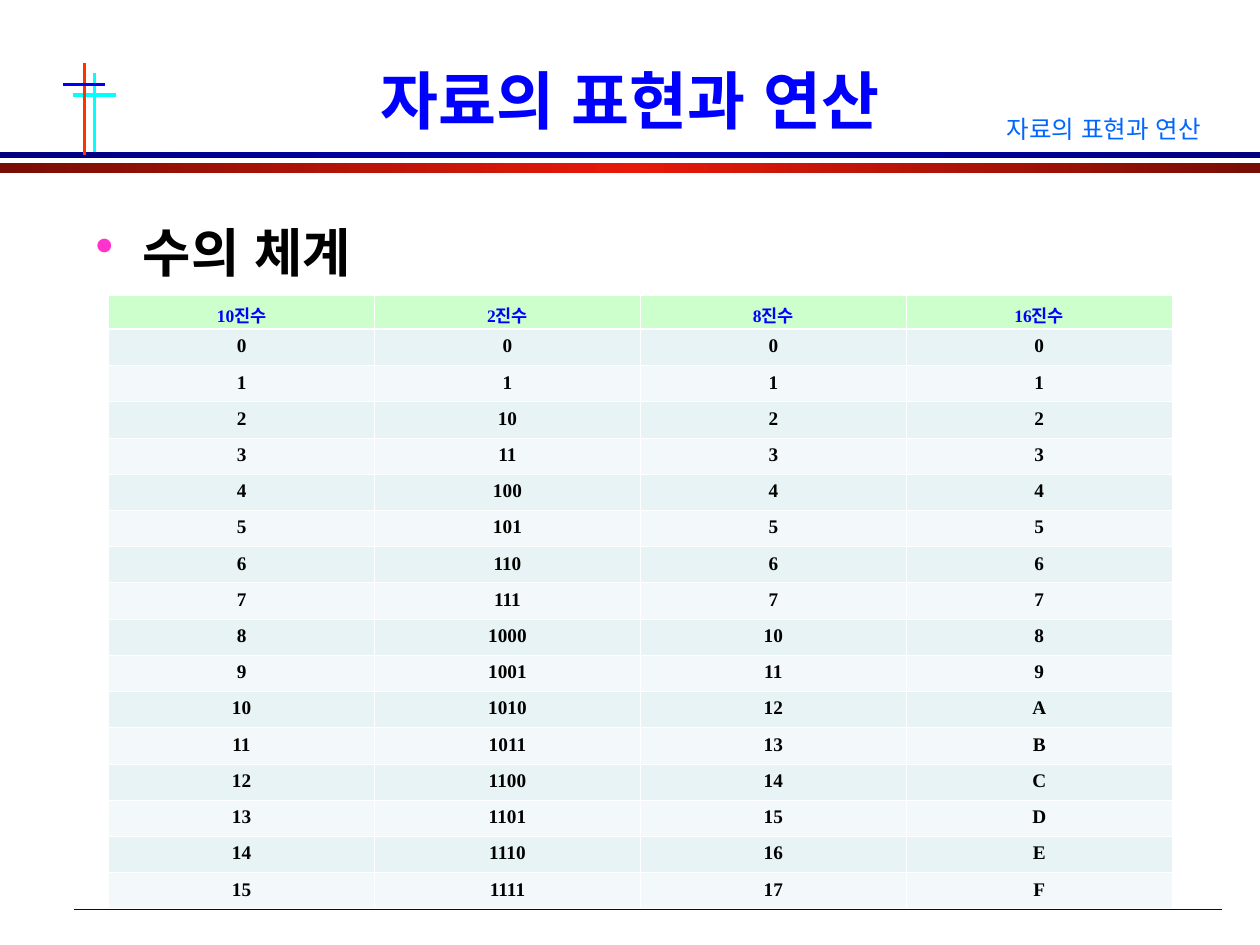
"""Build a slide that compares decimal, binary, octal and hexadecimal numbers."""
from copy import deepcopy

from lxml import etree
from pptx import Presentation
from pptx import util as u
from pptx.dml.color import RGBColor
from pptx.enum import shapes, text
from pptx.oxml import ns

BLUE = RGBColor(0x00, 0x00, 0xFF)
SKY = RGBColor(0x00, 0x66, 0xFF)
CYAN = RGBColor(0x00, 0xFF, 0xFF)
NAVY = RGBColor(0x00, 0x00, 0x80)
BAND_NAVY = RGBColor(0x00, 0x00, 0x7F)
BAND_BLUE = RGBColor(0x00, 0x00, 0xB6)
DARK_RED = RGBColor(0x77, 0x0D, 0x05)
RED = RGBColor(0xE7, 0x19, 0x09)
ORANGE = RGBColor(0xFF, 0x33, 0x00)
PINK = RGBColor(0xFF, 0x33, 0xCC)
BLACK = RGBColor(0x00, 0x00, 0x00)
WHITE = RGBColor(0xFF, 0xFF, 0xFF)
HEADER_GREEN = RGBColor(0xCC, 0xFF, 0xCC)
ROW_FILLS = (RGBColor(0xE7, 0xF3, 0xF4), RGBColor(0xF3, 0xF9, 0xFA))

SERIF, KOREAN = "Times New Roman", "Noto Sans CJK KR"
TITLE = "자료의 표현과 연산"
HEADING = "수의 체계"
HEADERS = ["10진수", "2진수", "8진수", "16진수"]
ROWS = [[f"{number:{base}}" for base in "dboX"] for number in range(16)]

FOOTER_LINE = (1.5, 18.34, 24.64, 18.34, NAVY, 0.75)
CYAN_CROSS = [
    (1.47, 1.91, 2.34, 1.91, CYAN, 2),
    (1.91, 1.47, 1.91, 3.18, CYAN, 1.75),
]
FRONT_CROSS = [
    (1.7, 1.27, 1.7, 3.12, ORANGE, 1.75),
    (1.27, 1.7, 2.11, 1.7, BLUE, 2),
]
BANDS = [
    (3.07, 0.12, BAND_NAVY, BAND_BLUE),
    (3.28, 0.21, DARK_RED, RED),
]
TABLE_LEFT, TABLE_TOP, COLUMN_WIDTH = 2.19, 5.96, 5.36
HEADER_HEIGHT, ROW_HEIGHT = 0.67, 0.73
THIN, THICK = 0.45, 1.47


def apply(target, values):
    for name, value in values.items():
        setattr(target, name, value)


def add_line(slide, x1, y1, x2, y2, color, width):
    line = slide.shapes.add_connector(
        shapes.MSO_CONNECTOR.STRAIGHT, *map(u.Cm, (x1, y1, x2, y2)))
    line.line.color.rgb = color
    line.line.width = u.Pt(width)
    etree.SubElement(line.element.spPr, ns.qn("a:effectLst"))


def add_band(slide, top, height, edge, middle):
    band = slide.shapes.add_shape(
        shapes.MSO_SHAPE.RECTANGLE, 0, u.Cm(top), u.Cm(25.4), u.Cm(height))
    band.shadow.inherit = False
    band.line.fill.background()
    band.fill.gradient()
    band.fill.gradient_angle = 0
    stops = band.element.spPr.find(".//" + ns.qn("a:gsLst"))
    stops.insert(1, deepcopy(stops[0]))
    for stop, color, position in zip(
            band.fill.gradient_stops, (edge, middle, edge), (0, 0.5, 1)):
        stop.color.rgb = color
        stop.position = position


def write(paragraph, content, size, color, latin=SERIF, bold=True):
    run = paragraph.add_run()
    run.text = content
    apply(run.font, {"size": u.Pt(size), "bold": bold, "name": latin})
    run.font.color.rgb = color
    properties = run.font._element
    properties.set("lang", "ko-KR")
    east_asian = etree.SubElement(properties, ns.qn("a:ea"))
    east_asian.set("typeface", KOREAN)


def add_text(slide, box, content, size, color, frame_format=None, **style):
    frame = slide.shapes.add_textbox(*map(u.Cm, box)).text_frame
    apply(frame, {"word_wrap": True, **(frame_format or {})})
    paragraph = frame.paragraphs[0]
    write(paragraph, content, size, color, **style)
    return paragraph


def add_bullet(paragraph, color):
    properties = paragraph._p.get_or_add_pPr()
    properties.set("marL", str(u.Cm(0.95)))
    properties.set("indent", str(-u.Cm(0.95)))
    bullet_color = etree.SubElement(properties, ns.qn("a:buClr"))
    etree.SubElement(bullet_color, ns.qn("a:srgbClr")).set("val", str(color))
    etree.SubElement(properties, ns.qn("a:buChar")).set("char", "•")


def set_borders(cell, top, bottom):
    properties = cell._tc.get_or_add_tcPr()
    widths = {"lnL": THIN, "lnR": THIN, "lnT": top, "lnB": bottom}
    for index, (side, width) in enumerate(widths.items()):
        border = etree.Element(ns.qn("a:" + side), w=str(u.Pt(width)))
        fill = etree.SubElement(border, ns.qn("a:solidFill"))
        etree.SubElement(fill, ns.qn("a:srgbClr")).set("val", str(WHITE))
        properties.insert(index, border)


def add_number_table(slide):
    contents = [HEADERS] + ROWS
    table = slide.shapes.add_table(
        len(contents), len(HEADERS), u.Cm(TABLE_LEFT), u.Cm(TABLE_TOP),
        u.Cm(COLUMN_WIDTH * len(HEADERS)),
        u.Cm(HEADER_HEIGHT + ROW_HEIGHT * len(ROWS))).table
    for column in table.columns:
        column.width = u.Cm(COLUMN_WIDTH)
    for index, values in enumerate(contents):
        header = index == 0
        table.rows[index].height = u.Cm(HEADER_HEIGHT if header else ROW_HEIGHT)
        for cell, value in zip(table.rows[index].cells, values):
            cell.fill.solid()
            cell.fill.fore_color.rgb = HEADER_GREEN if header else ROW_FILLS[(index - 1) % 2]
            set_borders(cell, THICK if index == 1 else THIN, THICK if header else THIN)
            paragraph = cell.text_frame.paragraphs[0]
            paragraph.alignment = text.PP_ALIGN.CENTER
            write(paragraph, value, 10 if header else 11, BLUE if header else BLACK)


def main():
    presentation = Presentation()
    apply(presentation, {"slide_width": u.Cm(25.4), "slide_height": u.Cm(19.05)})
    slide = presentation.slides.add_slide(presentation.slide_layouts[6])
    for line in [FOOTER_LINE] + CYAN_CROSS:
        add_line(slide, *line)
    for band in BANDS:
        add_band(slide, *band)
    for line in FRONT_CROSS:
        add_line(slide, *line)

    title = add_text(slide, (3.91, 1.27, 17.58, 1.47), TITLE, 36, BLUE,
                     {"vertical_anchor": text.MSO_ANCHOR.MIDDLE})
    title.alignment = text.PP_ALIGN.CENTER
    heading = add_text(slide, (1.68, 4.45, 22.23, 13.08), HEADING, 30, BLACK)
    apply(heading, {"line_spacing": 0.9, "space_before": u.Pt(7.5)})
    add_bullet(heading, PINK)
    add_text(slide, (20.04, 2.18, 5.16, 0.86), TITLE, 14, SKY, latin=KOREAN, bold=False)
    add_number_table(slide)
    presentation.save("out.pptx")


if __name__ == "__main__":
    main()
